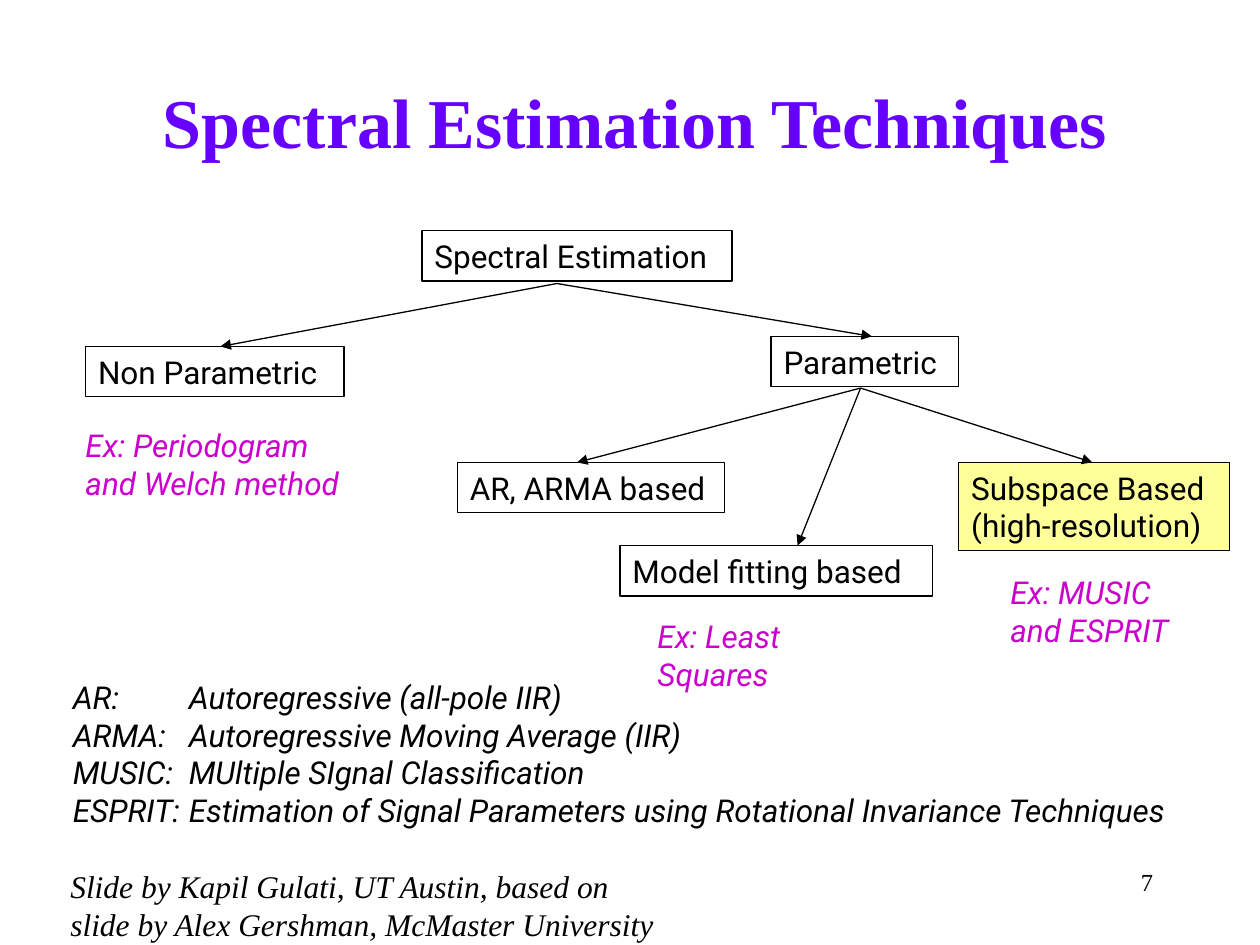
import pptx
import pptx.dml.color
import pptx.enum.shapes
import pptx.enum.text
import pptx.oxml.ns
import pptx.util
from lxml import etree
from pptx.util import Inches

SANS, SERIF = "Roboto", "Times New Roman"
BLACK, PURPLE, MAGENTA, YELLOW = "000000", "6600FF", "CC00CC", "FFFF99"
ALIGN = pptx.enum.text.PP_ALIGN
LINE_HEIGHT, BOX_PADDING = 0.3, 0.1

TITLE = "Spectral Estimation Techniques"

# lines, left, top, width, fill
TECHNIQUES = [
    (["Spectral Estimation"], 3.35, 1.83, 2.46, None),
    (["Parametric"], 6.12, 2.67, 1.49, None),
    (["Non Parametric"], 0.68, 2.75, 2.05, None),
    (["Subspace Based", "(high-resolution)"], 7.61, 3.67, 2.15, YELLOW),
    (["AR, ARMA based"], 3.63, 3.67, 2.12, None),
    (["Model fitting based"], 4.92, 4.33, 2.48, None),
]

# text, left, top, width
EXAMPLES = [
    ("Ex: Periodogram and Welch method", 0.58, 3.33, 2.3),
    ("Ex: MUSIC and ESPRIT", 7.92, 4.5, 1.58),
    ("Ex: Least Squares", 5.12, 4.85, 1.5),
]

# parent point, child points
BRANCHES = [
    ((4.42, 2.25), [(1.75, 2.75), (6.92, 2.67)]),
    ((6.83, 3.08), [(4.58, 3.67), (6.33, 4.33), (8.67, 3.67)]),
]

ACRONYMS = [
    ("AR", "Autoregressive (all-pole IIR)"),
    ("ARMA", "Autoregressive Moving Average (IIR)"),
    ("MUSIC", "MUltiple SIgnal Classification"),
    ("ESPRIT", "Estimation of Signal Parameters using Rotational Invariance Techniques"),
]
MEANING_TAB = 0.92

CREDIT = ("Slide by Kapil Gulati, UT Austin, based on "
          "slide by Alex Gershman, McMaster University")
PAGE = "7"


def rgb(color):
    return pptx.dml.color.RGBColor.from_string(color)


def height_of(line_count):
    return line_count * LINE_HEIGHT + BOX_PADDING


def write(shape, lines, size=18, font=SANS, color=BLACK, bold=False,
          italic=False, align=ALIGN.LEFT, anchor=pptx.enum.text.MSO_ANCHOR.TOP):
    frame = shape.text_frame
    frame.word_wrap = True
    frame.vertical_anchor = anchor
    frame.text = "\n".join(lines)
    for paragraph in frame.paragraphs:
        paragraph.alignment = align
        for run in paragraph.runs:
            run.font.size = pptx.util.Pt(size)
            run.font.name = font
            run.font.bold = bold
            run.font.italic = italic
            run.font.color.rgb = rgb(color)


def add_label(slide, lines, left, top, width, height, **style):
    label = slide.shapes.add_textbox(*map(Inches, (left, top, width, height)))
    write(label, lines, **style)
    return label


def add_technique(slide, lines, left, top, width, fill):
    box = slide.shapes.add_shape(
        pptx.enum.shapes.MSO_SHAPE.RECTANGLE,
        *map(Inches, (left, top, width, height_of(len(lines)))))
    box.shadow.inherit = False
    if fill:
        box.fill.solid()
        box.fill.fore_color.rgb = rgb(fill)
    else:
        box.fill.background()
    box.line.color.rgb = rgb(BLACK)
    box.line.width = pptx.util.Pt(0.75)
    write(box, lines)


def add_arrow(slide, start, end):
    arrow = slide.shapes.add_connector(
        pptx.enum.shapes.MSO_CONNECTOR.STRAIGHT, *map(Inches, start + end))
    arrow.line.color.rgb = rgb(BLACK)
    arrow.line.width = pptx.util.Pt(0.75)
    qn = pptx.oxml.ns.qn
    properties = arrow._element.spPr
    etree.SubElement(properties.find(qn("a:ln")), qn("a:tailEnd"), type="triangle")
    etree.SubElement(properties, qn("a:effectLst"))


def set_tab(paragraph, position):
    qn = pptx.oxml.ns.qn
    stops = etree.SubElement(paragraph._p.get_or_add_pPr(), qn("a:tabLst"))
    etree.SubElement(stops, qn("a:tab"), pos=str(Inches(position)), algn="l")


def main():
    deck = pptx.Presentation()
    deck.slide_width, deck.slide_height = Inches(10), Inches(7.5)
    slide = deck.slides.add_slide(deck.slide_layouts[6])

    add_label(slide, [TITLE], 0.5, 0.33, 9.08, 1.25, size=40, font=SERIF,
              color=PURPLE, bold=True, align=ALIGN.CENTER,
              anchor=pptx.enum.text.MSO_ANCHOR.MIDDLE)
    for technique in TECHNIQUES:
        add_technique(slide, *technique)
    for text, left, top, width in EXAMPLES:
        add_label(slide, [text], left, top, width, height_of(2),
                  color=MAGENTA, italic=True)
    for parent, children in BRANCHES:
        for child in children:
            add_arrow(slide, parent, child)

    glossary = add_label(
        slide, [f"{acronym}:\t{meaning}" for acronym, meaning in ACRONYMS],
        0.48, 5.33, 9.1, height_of(len(ACRONYMS)), italic=True)
    for paragraph in glossary.text_frame.paragraphs:
        set_tab(paragraph, MEANING_TAB)

    add_label(slide, [CREDIT], 0.46, 6.83, 4.96, height_of(2),
              font=SERIF, italic=True)
    add_label(slide, [PAGE], 7.17, 6.83, 2.08, 0.5, size=14, font=SERIF,
              align=ALIGN.RIGHT)
    deck.save("out.pptx")


if __name__ == "__main__":
    main()
